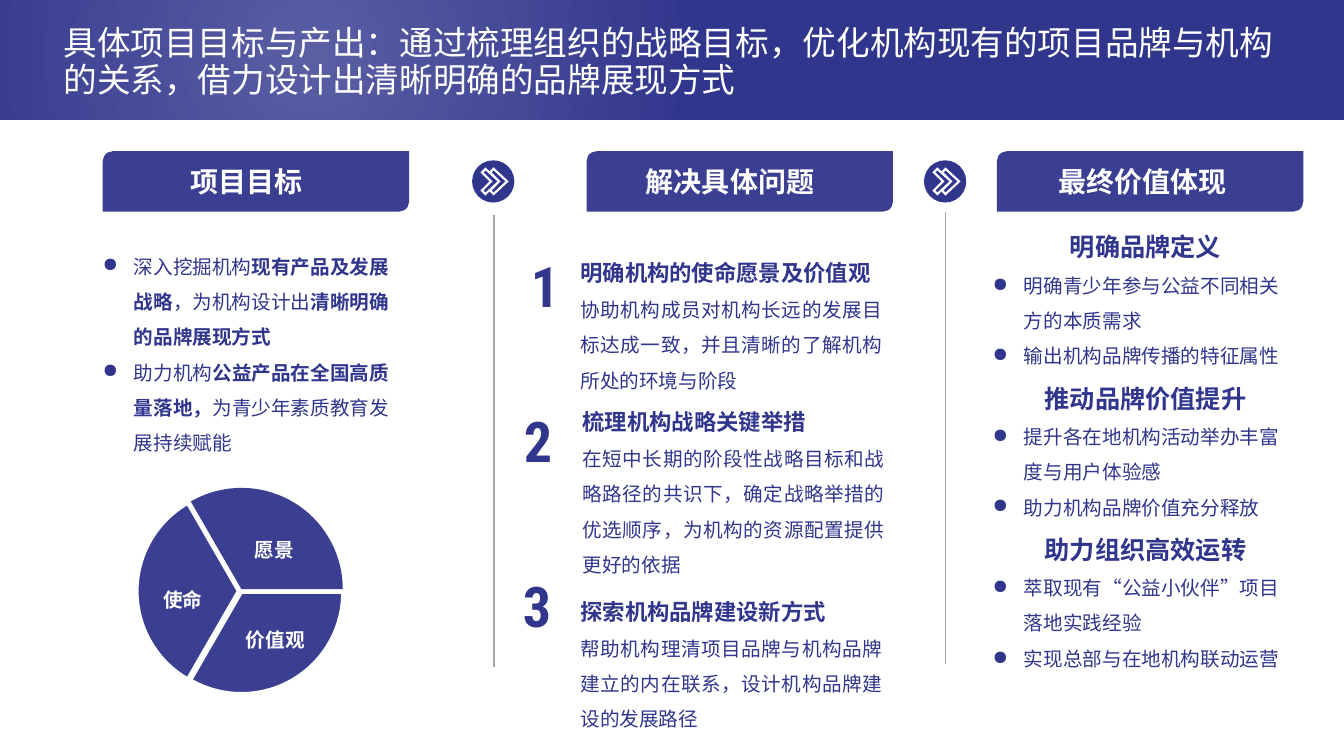
from dataclasses import dataclass

import pptx
import pptx.dml.color
import pptx.enum.lang
import pptx.enum.shapes
import pptx.enum.text
import pptx.oxml
import pptx.oxml.ns
import pptx.util
from lxml import etree

Pt = pptx.util.Pt
SHAPE = pptx.enum.shapes.MSO_SHAPE
ALIGN = pptx.enum.text.PP_ALIGN
qn = pptx.oxml.ns.qn


@dataclass(frozen=True)
class Theme:
    navy: str = "31368D"
    indigo: str = "3B3F92"
    white: str = "FFFFFF"
    grey: str = "A6A6A6"
    cjk: str = "Noto Sans CJK SC"
    digits: str = "Roboto Condensed"
    title: int = 24
    tab: int = 20
    heading: int = 18
    step: int = 16
    body: int = 14
    number: int = 40


T = Theme()
# Outline and two openings of the double arrow, on a 28 by 28 grid
CHEVRON_UNIT = Pt(0.72)
CHEVRONS = [
    [(5, 28), (9, 24), (13, 28), (28, 14), (13, 0), (9, 4), (5, 0), (0, 5), (9, 14), (0, 23)],
    [(13, 3), (25, 14), (13, 25), (11, 23), (20, 14), (11, 5)],
    [(3, 5), (5, 3), (17, 14), (5, 25), (3, 23), (12, 14)],
]


def rgb(color):
    return pptx.dml.color.RGBColor.from_string(color)


def add_run(p, text, size, color=T.navy, bold=False, font=T.cjk):
    r = p.add_run()
    r.text = text
    r.font.size, r.font.bold, r.font.name = Pt(size), bold, font
    r.font.color.rgb = rgb(color)
    r.font.language_id = pptx.enum.lang.MSO_LANGUAGE_ID.SIMPLIFIED_CHINESE
    etree.SubElement(r.font._element, qn("a:ea")).set("typeface", font)


def add_shape(s, kind, box, fill):
    sp = s.shapes.add_shape(kind, *map(Pt, box))
    sp.shadow.inherit = False
    sp.fill.solid()
    sp.fill.fore_color.rgb = rgb(fill)
    sp.line.fill.background()
    return sp


def add_text_frame(s, box, wrap=True):
    tf = s.shapes.add_textbox(*map(Pt, box)).text_frame
    tf.word_wrap = wrap
    tf.auto_size = pptx.enum.text.MSO_AUTO_SIZE.SHAPE_TO_FIT_TEXT
    return tf


def add_paragraph(tf, align=ALIGN.LEFT, bullet=False):
    """Start an indented paragraph, reusing the first one while it is empty."""
    p = tf.paragraphs[0]
    if p.runs:
        p = tf.add_paragraph()
    p.level, p.alignment, p.line_spacing = 1, align, 1.5
    pPr = p._p.get_or_add_pPr()
    pPr.set("marL", str(Pt(58.3 if bullet else 36)))
    pPr.set("indent", str(Pt(-22.3 if bullet else 0)))
    if bullet:
        etree.SubElement(pPr, qn("a:buChar")).set("char", "●")
    return p


def add_banner(s, box, text):
    left, top, width, height = box
    add_shape(s, SHAPE.RECTANGLE, box, T.navy)
    glow = add_shape(s, SHAPE.RECTANGLE, (left - 177.8, top - 12.2, 799.2, 103.7), T.white)
    stops = "".join(
        f'<a:gs pos="{pos}"><a:srgbClr val="{T.white}"><a:alpha val="{alpha}"/></a:srgbClr></a:gs>'
        for pos, alpha in ((0, 20000), (66000, 0)))
    gradient = pptx.oxml.parse_xml(
        f'<a:gradFill {pptx.oxml.ns.nsdecls("a")}><a:gsLst>{stops}</a:gsLst><a:path path="circle">'
        '<a:fillToRect l="50000" t="50000" r="50000" b="50000"/></a:path></a:gradFill>')
    spPr = glow._element.spPr
    spPr.replace(spPr.find(qn("a:solidFill")), gradient)

    title = s.shapes.title
    title.left, title.top, title.width, title.height = map(
        Pt, (left + 38.2, top + 15.1, width - 72.8, 59.8))
    s.shapes._spTree.append(title._element)
    tf = title.text_frame
    tf.word_wrap = True
    tf.vertical_anchor = pptx.enum.text.MSO_ANCHOR.MIDDLE
    p = tf.paragraphs[0]
    p.alignment, p.line_spacing = ALIGN.LEFT, 0.9
    add_run(p, text, T.title, T.white)


def add_tab(s, box, text, inset):
    tf = add_shape(s, SHAPE.ROUND_2_DIAG_RECTANGLE, box, T.indigo).text_frame
    tf.margin_left = Pt(inset)
    tf.word_wrap = False
    tf.vertical_anchor = pptx.enum.text.MSO_ANCHOR.MIDDLE
    p = tf.paragraphs[0]
    p.alignment = ALIGN.LEFT
    add_run(p, text, T.tab, T.white, True)


def add_divider(s, box):
    """Arrow badge on top of a vertical rule that ends at the foot of the box."""
    left, top, width, height = box
    add_shape(s, SHAPE.OVAL, (left, top, width, width), T.navy)
    outline, *openings = CHEVRONS
    fb = s.shapes.build_freeform(*outline[0], scale=CHEVRON_UNIT)
    fb.add_line_segments(outline[1:], close=True)
    for opening in openings:
        fb.move_to(*opening[0])
        fb.add_line_segments(opening[1:], close=True)
    sp = fb.convert_to_shape(Pt(left + 6), Pt(top + 5))
    sp.shadow.inherit = False
    sp.fill.solid()
    sp.fill.fore_color.rgb = rgb(T.white)
    sp.line.fill.background()
    x = left + width / 2 + 0.5
    rule = s.shapes.add_connector(pptx.enum.shapes.MSO_CONNECTOR.STRAIGHT,
                                  Pt(x), Pt(top + height), Pt(x), Pt(top + height - 323.3))
    rule.line.color.rgb = rgb(T.grey)
    rule.line.width = Pt(1)
    etree.SubElement(rule._element.spPr, qn("a:effectLst"))


def add_goals(s, box, goals):
    tf = add_text_frame(s, box)
    for goal in goals:
        p = add_paragraph(tf, bullet=True)
        for text, bold in goal:
            add_run(p, text, T.body, bold=bold)


def add_wheel(s, box, slices):
    """Three equal pie slices, each turned into place, then their labels."""
    left, top, size, _ = box
    for _, rotation, (dx, dy), _, outlined in slices:
        sp = add_shape(s, SHAPE.PIE, (left + dx, top + dy, size, size), T.indigo)
        sp.adjustments[0], sp.adjustments[1] = 36, 108
        sp.rotation = rotation
        if outlined:
            sp.line.color.rgb = rgb(T.white)
            sp.line.width = Pt(2.25)
    for label, _, _, (dx, dy), _ in slices:
        tf = add_text_frame(s, (left + dx, top + dy, 132.5, 29.5))
        add_run(add_paragraph(tf), label, T.body, T.white, True)


def add_step(s, box, number, offset, heading, body):
    left, top = box[:2]
    tf = add_text_frame(s, box)
    add_run(add_paragraph(tf, ALIGN.JUSTIFY), heading, T.step, bold=True)
    add_run(add_paragraph(tf, ALIGN.JUSTIFY), body, T.body)
    dx, dy, width = offset
    tf = add_text_frame(s, (left + dx, top + dy, width, 55.4), wrap=False)
    p = tf.paragraphs[0]
    p.alignment = ALIGN.JUSTIFY
    add_run(p, number, T.number, bold=True, font=T.digits)


def add_values(s, box, groups):
    tf = add_text_frame(s, box)
    for heading, points in groups:
        add_run(add_paragraph(tf, ALIGN.CENTER), heading, T.heading, bold=True)
        for point in points:
            add_run(add_paragraph(tf, bullet=True), point, T.body)


def main():
    prs = pptx.Presentation()
    prs.slide_width, prs.slide_height = Pt(960), Pt(540)
    s = prs.slides.add_slide(prs.slide_layouts.get_by_name("Title Only"))
    add_banner(s, (0, 0, 960, 85.7), "具体项目目标与产出：通过梳理组织的战略目标，优化机构现有的项目品牌与机构的关系，借力设计出清晰明确的品牌展现方式")
    for left, text, inset in ((73.4, "项目目标", 60.5), (419, "解决具体问题", 40.3),
                              (712.1, "最终价值体现", 41.8)):
        add_tab(s, (left, 108, 218.9, 43.2), text, inset)
    for left, height in ((337.2, 362.1), (660, 360)):
        add_divider(s, (left, 114.5, 30.2, height))
    add_goals(s, (30.2, 169.9, 261.4, 159.8), [
        [("深入挖掘机构", False), ("现有产品及发展战略", True), ("，为机构设计出", False),
         ("清晰明确的品牌展现方式", True)],
        [("助力机构", False), ("公益产品在全国高质量落地，", True), ("为青少年素质教育发展持续赋能", False)],
    ])
    add_wheel(s, (97.9, 348.5, 144.7, 144.7), [
        ("使命", 60, (0, 1.4), (-24.5, 59.8), True),
        ("价值观", 300, (2.2, 2.2), (34.6, 87.8), True),
        ("愿景", 180, (2.2, 0), (41, 23.8), False),
    ])
    add_step(s, (371.5, 172.1, 265.7, 113), "1", (0.7, 4.3, 23.8), "明确机构的使命愿景及价值观",
             "协助机构成员对机构长远的发展目标达成一致，并且清晰的了解机构所处的环境与阶段")
    add_step(s, (373, 278.6, 265.7, 135.4), "2", (-5.8, 8, 32.4), "梳理机构战略关键举措",
             "在短中长期的阶段性战略目标和战略路径的共识下，确定战略举措的优选顺序，为机构的资源配置提供更好的依据")
    add_step(s, (371.5, 414, 265.7, 109.4), "3", (-5, -9.4, 33.1), "探索机构品牌建设新方式",
             "帮助机构理清项目品牌与机构品牌建立的内在联系，设计机构品牌建设的发展路径")
    add_values(s, (666, 151.2, 268.6, 360), [
        ("明确品牌定义", ["明确青少年参与公益不同相关方的本质需求", "输出机构品牌传播的特征属性"]),
        ("推动品牌价值提升", ["提升各在地机构活动举办丰富度与用户体验感", "助力机构品牌价值充分释放"]),
        ("助力组织高效运转", ["萃取现有“公益小伙伴”项目落地实践经验", "实现总部与在地机构联动运营"]),
    ])
    prs.save("out.pptx")


if __name__ == "__main__":
    main()
